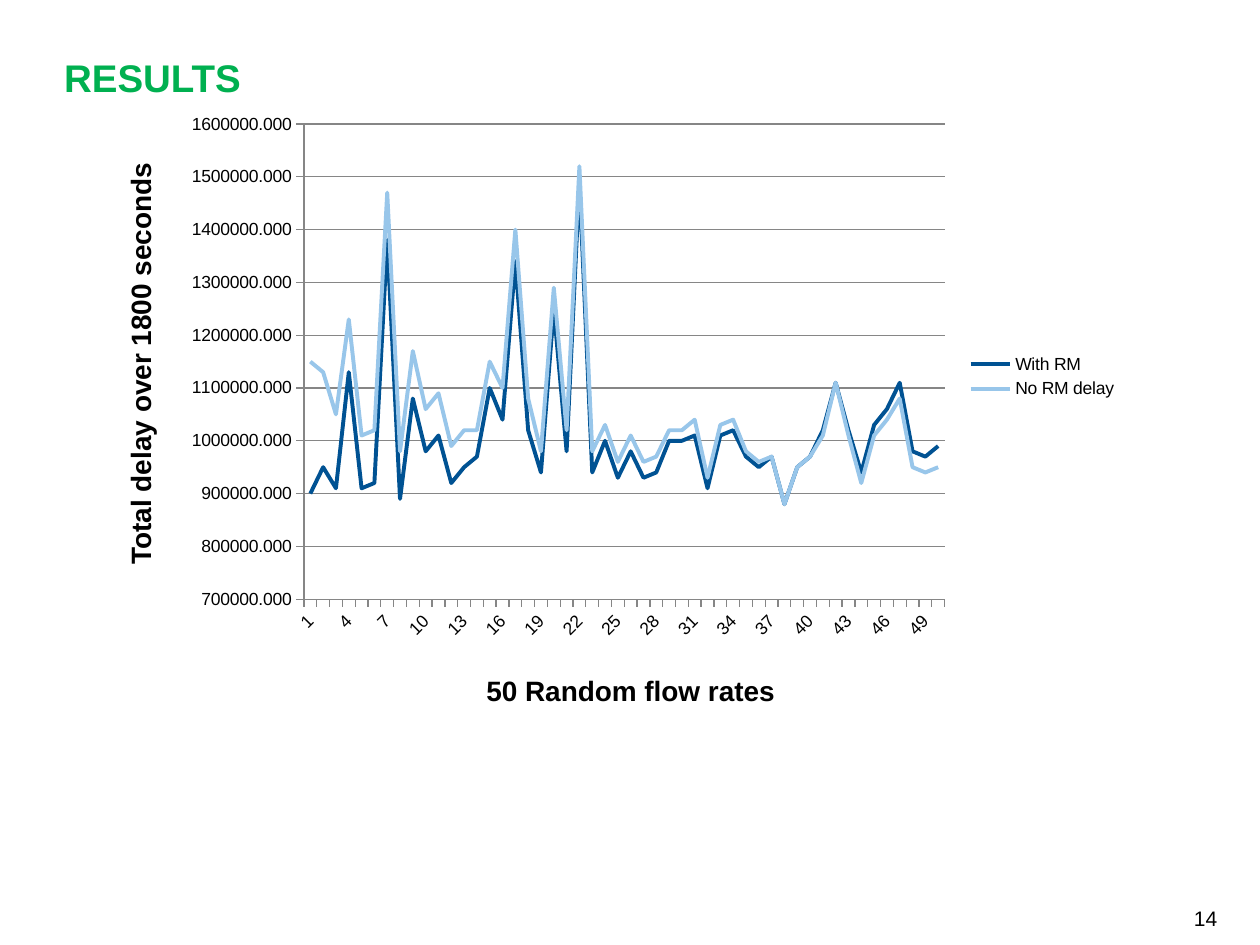
from lxml import etree
from pptx import Presentation
from pptx.chart.data import CategoryChartData
from pptx.dml.color import RGBColor
from pptx.enum.chart import XL_CHART_TYPE, XL_LEGEND_POSITION, XL_TICK_MARK
from pptx.enum.text import MSO_ANCHOR, PP_ALIGN
from pptx.oxml import parse_xml
from pptx.oxml.ns import nsdecls, qn
from pptx.util import Inches, Pt

LINE = XL_CHART_TYPE.LINE
LEGEND_RIGHT = XL_LEGEND_POSITION.RIGHT
TICK_OUTSIDE = XL_TICK_MARK.OUTSIDE
TOP, BOTTOM = MSO_ANCHOR.TOP, MSO_ANCHOR.BOTTOM
LEFT, CENTER, RIGHT = PP_ALIGN.LEFT, PP_ALIGN.CENTER, PP_ALIGN.RIGHT

# Total delay in thousands, one value per random flow rate
DELAYS = {
    "With RM": ("005293", [
        900, 950, 910, 1130, 910, 920, 1380, 890, 1080, 980,
        1010, 920, 950, 970, 1100, 1040, 1340, 1020, 940, 1250,
        980, 1490, 940, 1000, 930, 980, 930, 940, 1000, 1000,
        1010, 910, 1010, 1020, 970, 950, 970, 880, 950, 970,
        1020, 1110, 1020, 940, 1030, 1060, 1110, 980, 970, 990]),
    "No RM delay": ("98C6EA", [
        1150, 1130, 1050, 1230, 1010, 1020, 1470, 980, 1170, 1060,
        1090, 990, 1020, 1020, 1150, 1100, 1400, 1080, 980, 1290,
        1020, 1520, 980, 1030, 960, 1010, 960, 970, 1020, 1020,
        1040, 930, 1030, 1040, 980, 960, 970, 880, 950, 970,
        1010, 1110, 1010, 920, 1010, 1040, 1080, 950, 940, 950]),
}


def color(value):
    return RGBColor.from_string(value)


class SlideBuilder:
    font_name = "Arial"
    text_color = "000000"
    grid_color = "868686"

    def __init__(self, presentation):
        self.slide = presentation.slides.add_slide(presentation.slide_layouts[5])

    def set_font(self, font, size, font_color=None, bold=False):
        font.name = self.font_name
        font.size = Pt(size)
        font.bold = bold
        font.color.rgb = color(font_color or self.text_color)

    def set_text(self, shape, text, size, font_color=None, bold=True,
                 align=LEFT, anchor=TOP, spacing=1.14):
        frame = shape.text_frame
        frame.word_wrap = True
        frame.vertical_anchor = anchor
        frame.margin_left = frame.margin_right = 0
        frame.margin_top = frame.margin_bottom = 0
        frame.text = text
        paragraph = frame.paragraphs[0]
        paragraph.alignment = align
        paragraph.line_spacing = spacing
        self.set_font(paragraph.font, size, font_color, bold)

    def title(self, text, left, top, width, height):
        shape = self.slide.shapes.title
        shape.left, shape.top = Inches(left), Inches(top)
        shape.width, shape.height = Inches(width), Inches(height)
        self.set_text(shape, text, 22, "00B050", spacing=1.25)

    def text(self, text, left, top, width, height, size=16, vertical=False, **style):
        box = self.slide.shapes.add_textbox(
            Inches(left), Inches(top), Inches(width), Inches(height))
        self.set_text(box, text, size, **style)
        if vertical:
            box.text_frame._txBody.bodyPr.set("vert", "vert270")

    def line_chart(self, series_data, left, top, width, height):
        data = CategoryChartData(number_format="0.000")
        count = max(len(values) for _, values in series_data.values())
        data.categories = [str(number) for number in range(1, count + 1)]
        for name, (_, values) in series_data.items():
            data.add_series(name, [value * 1000 for value in values])
        chart = self.slide.shapes.add_chart(
            LINE, Inches(left), Inches(top), Inches(width), Inches(height), data).chart
        self.set_font(chart.font, 10)
        chart.has_title = False
        chart.has_legend = True
        chart.legend.position = LEGEND_RIGHT
        chart.legend.include_in_layout = False
        chart.plots[0].vary_by_categories = False
        for series, (line_color, _) in zip(chart.plots[0].series, series_data.values()):
            series.smooth = False
            series.format.line.width = Pt(2.25)
            series.format.line.color.rgb = color(line_color)
        self.style_axes(chart)
        self.place_plot(chart, x=0.136, y=0.038, w=0.67, h=0.869)

    def style_axes(self, chart):
        value_axis, category_axis = chart.value_axis, chart.category_axis
        value_axis.minimum_scale, value_axis.maximum_scale = 700000, 1600000
        value_axis.major_unit = 100000
        value_axis.has_major_gridlines = True
        value_axis.tick_labels.number_format = "0.000"
        value_axis.tick_labels.number_format_is_linked = False
        for axis in (value_axis, category_axis):
            axis.major_tick_mark = TICK_OUTSIDE
            self.set_font(axis.tick_labels.font, 10)
        for part in (value_axis, category_axis, value_axis.major_gridlines):
            part.format.line.width = Pt(0.75)
            part.format.line.color.rgb = color(self.grid_color)
        # Every third label, turned 45 degrees upwards
        element = category_axis._element
        element.find(qn("c:txPr")).find(qn("a:bodyPr")).set("rot", "-2700000")
        skip = parse_xml(f'<c:tickLblSkip {nsdecls("c")} val="3"/>')
        element.find(qn("c:noMultiLvlLbl")).addprevious(skip)

    def place_plot(self, chart, **fractions):
        """Fix the inner plot area, in fractions of the chart."""
        plot_area = chart._chartSpace.chart.plotArea
        layout = plot_area.find(qn("c:layout"))
        if layout is None:
            layout = parse_xml(f'<c:layout {nsdecls("c")}/>')
            plot_area.insert(0, layout)
        manual = etree.SubElement(layout, qn("c:manualLayout"))
        settings = {"layoutTarget": "inner", "xMode": "edge", "yMode": "edge", **fractions}
        for name, value in settings.items():
            etree.SubElement(manual, qn(f"c:{name}")).set("val", str(value))


def main():
    presentation = Presentation()
    presentation.slide_width = Inches(10)
    presentation.slide_height = Inches(7.5)
    builder = SlideBuilder(presentation)
    builder.text("14", 8.44, 7.18, 1.22, 0.21, size=12, bold=False,
                 align=RIGHT, anchor=BOTTOM)
    builder.line_chart(DELAYS, 1.38, 0.82, 7.59, 4.34)
    builder.title("RESULTS", 0.51, 0.34, 9.31, 0.39)
    builder.text("50 Random flow rates", 2.41, 5.31, 5.19, 0.28, align=CENTER)
    builder.text("Total delay over 1800 seconds", 0.94, 0.83, 0.31, 3.65, vertical=True)
    presentation.save("out.pptx")


if __name__ == "__main__":
    main()
